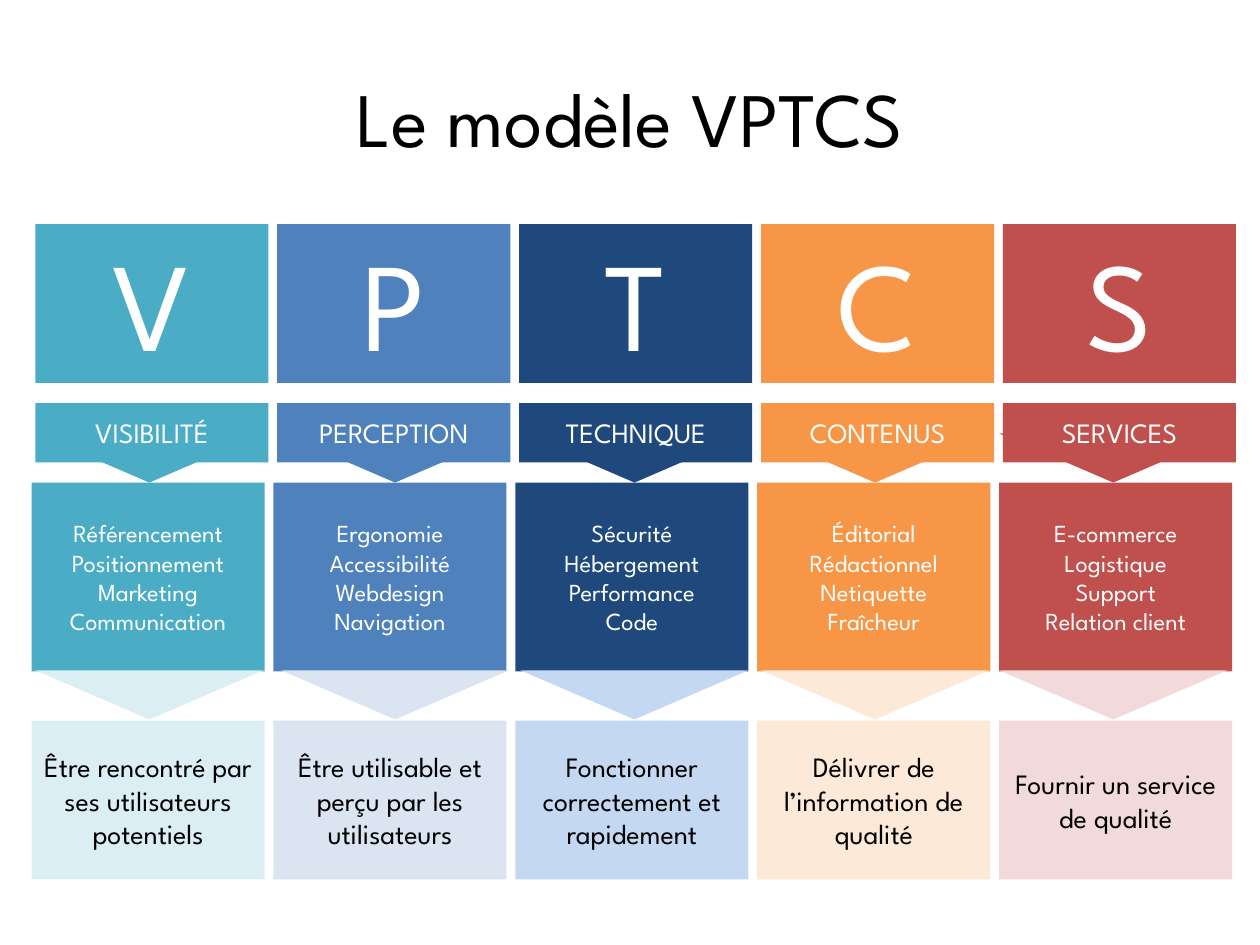
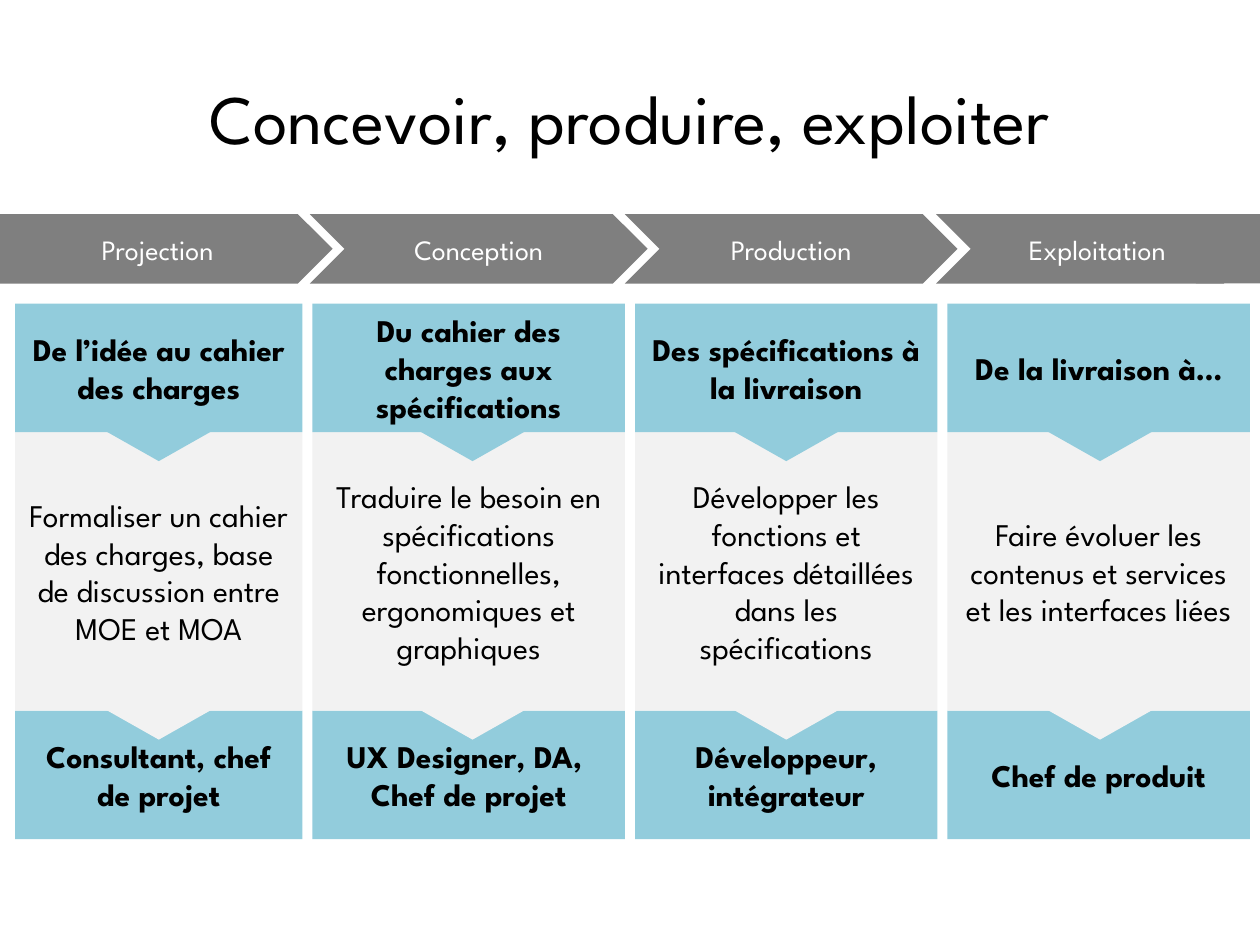
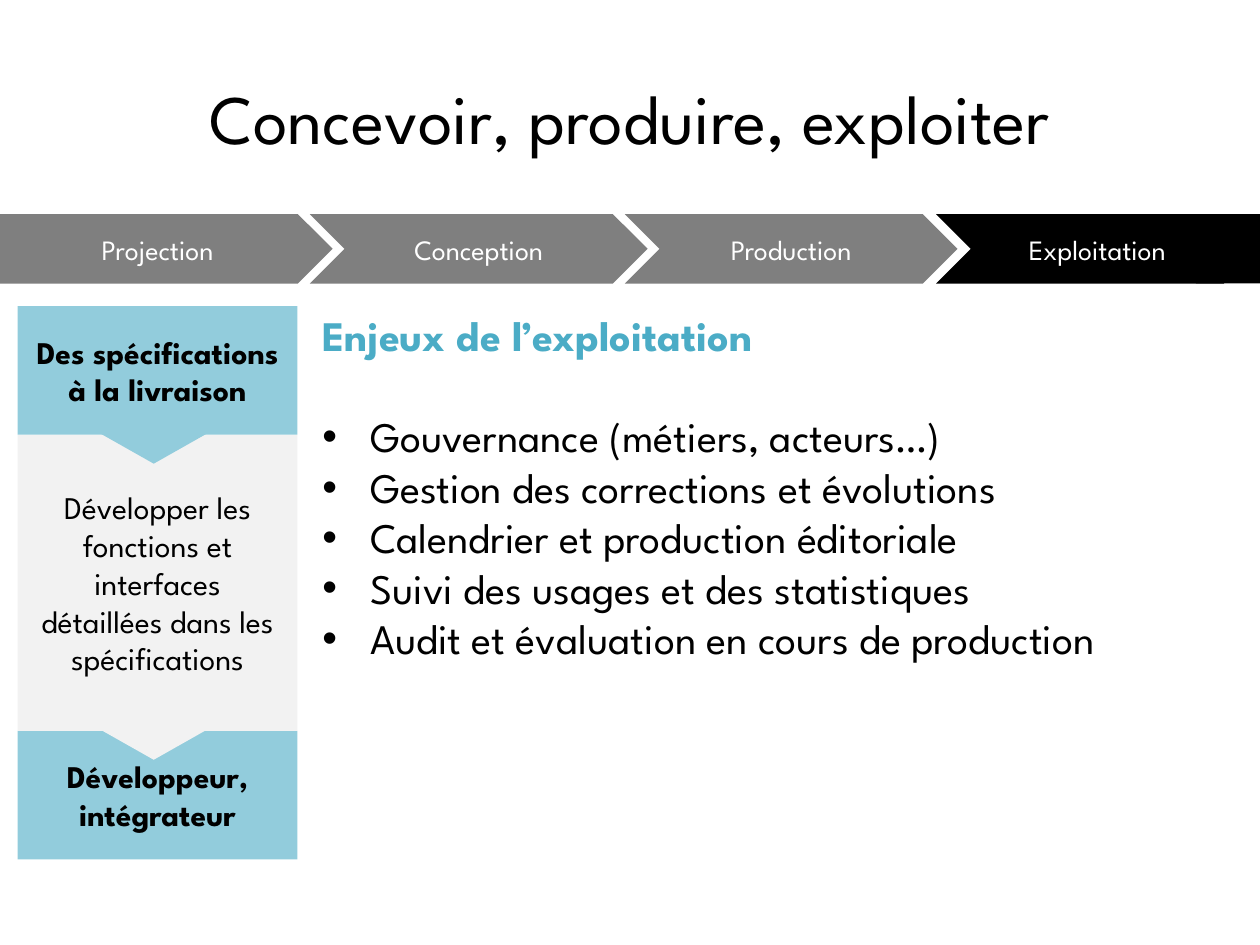
from dataclasses import dataclass

from lxml.etree import SubElement
from pptx import Presentation
from pptx.dml.color import RGBColor
from pptx.enum.shapes import MSO_SHAPE
from pptx.enum.text import MSO_ANCHOR, MSO_AUTO_SIZE, PP_ALIGN
from pptx.oxml.ns import qn
from pptx.util import Inches, Pt


@dataclass(frozen=True)
class Theme:
    font: str = "League Spartan"
    black: str = "000000"
    white: str = "FFFFFF"
    grey: str = "7F7F7F"
    pale_grey: str = "F2F2F2"
    sky: str = "92CCDC"
    teal: str = "4BACC6"
    letter: float = 72
    model_title: float = 44
    project_title: float = 39.6
    list: float = 24
    body: float = 18
    label: float = 16
    topic: float = 14


THEME = Theme()

MODEL_TITLE = "Le modèle VPTCS"
# letter, name, topics, outcome, strong colour, pale colour, left edge of pointers
PILLARS = [
    ("V", "VISIBILITÉ", ["Référencement", "Positionnement", "Marketing", "Communication"],
     "Être rencontré par ses utilisateurs potentiels", THEME.teal, "DAEEF3", 0.28),
    ("P", "PERCEPTION", ["Ergonomie", "Accessibilité", "Webdesign", "Navigation"],
     "Être utilisable et perçu par les utilisateurs", "4F81BD", "DAE5F1", 2.23),
    ("T", "TECHNIQUE", ["Sécurité", "Hébergement", "Performance", "Code"],
     "Fonctionner correctement et rapidement", "1F497D", "C5D8F1", 4.13),
    ("C", "CONTENUS", ["Éditorial", "Rédactionnel", "Netiquette", "Fraîcheur"],
     "Délivrer de l’information de qualité", "F79646", "FDE9D8", 6.04),
    ("S", "SERVICES", ["E-commerce", "Logistique", "Support", "Relation client"],
     "Fournir un service de qualité", "C0504D", "F2DADA", 7.93),
]

PROJECT_TITLE = "Concevoir, produire, exploiter"
# step, left edge, width
STEPS = [("Projection", 0, 2.64), ("Conception", 2.46, 2.68),
         ("Production", 4.96, 2.64), ("Exploitation", 7.43, 2.56)]
# scope, work, people, column width
PHASES = [
    ("De l’idée au cahier des charges",
     "Formaliser un cahier des charges, base de discussion entre MOE et MOA",
     "Consultant, chef de projet", 2.28),
    ("Du cahier des charges aux spécifications",
     "Traduire le besoin en spécifications fonctionnelles, ergonomiques et graphiques",
     "UX Designer, DA, \vChef de projet", 2.48),
    ("Des spécifications à la livraison",
     "Développer les fonctions et interfaces détaillées dans les spécifications",
     "Développeur, intégrateur", 2.4),
    ("De la livraison à…",
     "Faire évoluer les contenus et services et les interfaces liées",
     "Chef de produit", 2.4),
]
ISSUES_HEADING = "Enjeux de l’exploitation"
ISSUES = [
    "Gouvernance (métiers, acteurs…)",
    "Gestion des corrections et évolutions",
    "Calendrier et production éditoriale",
    "Suivi des usages et des statistiques",
    "Audit et évaluation en cours de production",
]

PILLAR_PITCH, PILLAR_WIDTH = 1.92, 1.85
POINTER_HEIGHT = 0.39
STEP_TOP, STEP_HEIGHT = 1.7, 0.55
PHASE_GAP, PHASE_POINTER_PITCH, PHASE_POINTER_WIDTH = 0.08, 2.49, 1.38
PHASE_BAND, POINTER_OVERLAP = 1.02, 0.16


def format_paragraph(para, size, colour, bold=False, align=PP_ALIGN.CENTER):
    para.alignment = align
    for span in para.runs:
        span.font.name = THEME.font
        span.font.size = Pt(size)
        span.font.bold = bold
        span.font.color.rgb = RGBColor.from_string(colour)


def add_box(page, area, fill, text="", size=THEME.body, colour=THEME.black, bold=False,
            kind=MSO_SHAPE.RECTANGLE, anchor=MSO_ANCHOR.MIDDLE):
    box = page.shapes.add_shape(kind, *map(Inches, area))
    box.shadow.inherit = False
    box.fill.solid()
    box.fill.fore_color.rgb = RGBColor.from_string(fill)
    box.line.fill.background()
    if text:
        frame = box.text_frame
        frame.word_wrap = True
        frame.vertical_anchor = anchor
        frame.text = text
        for para in frame.paragraphs:
            format_paragraph(para, size, colour, bold)
    return box


def add_pointer(page, left, top, width, fill):
    """Add a triangle that points down."""
    pointer = add_box(page, (left, top, width, POINTER_HEIGHT), fill,
                      kind=MSO_SHAPE.ISOSCELES_TRIANGLE)
    pointer.rotation = 180


def add_page(deck, title, size):
    page = deck.slides.add_slide(deck.slide_layouts[5])
    box = page.shapes.title
    box.left, box.top, box.width, box.height = map(Inches, (0.5, 0.3, 9, 1.25))
    frame = box.text_frame
    frame.text = title
    frame.auto_size = MSO_AUTO_SIZE.NONE
    frame.vertical_anchor = MSO_ANCHOR.MIDDLE
    format_paragraph(frame.paragraphs[0], size, THEME.black)
    return page


def add_steps(page, active=None):
    """Add the band of project steps, with the active one in black."""
    for index, (name, left, width) in enumerate(STEPS):
        kind = MSO_SHAPE.CHEVRON if index else MSO_SHAPE.PENTAGON
        fill = THEME.black if name == active else THEME.grey
        add_box(page, (left, STEP_TOP, width, STEP_HEIGHT), fill, name,
                THEME.label, THEME.white, kind=kind)
    add_box(page, (9.49, STEP_TOP, 0.51, STEP_HEIGHT), fill)


def add_phase(page, phase, left, top, width, work_height, pointer_left):
    """Stack scope, work and people, each pointing to the next."""
    scope, work, people, _ = phase
    work_top = top + PHASE_BAND
    people_top = work_top + work_height
    add_box(page, (left, people_top, width, PHASE_BAND), THEME.sky, people, bold=True)
    add_pointer(page, pointer_left, people_top - POINTER_OVERLAP,
                PHASE_POINTER_WIDTH, THEME.pale_grey)
    add_box(page, (left, work_top, width, work_height), THEME.pale_grey, work)
    add_pointer(page, pointer_left, work_top - POINTER_OVERLAP,
                PHASE_POINTER_WIDTH, THEME.sky)
    add_box(page, (left, top, width, PHASE_BAND), THEME.sky, scope, bold=True)


def add_bullet(para):
    properties = para._p.get_or_add_pPr()
    indent = Inches(0.38)
    properties.set("marL", str(indent))
    properties.set("indent", str(-indent))
    colour = SubElement(properties, qn("a:buClr"))
    SubElement(colour, qn("a:srgbClr"), val=THEME.black)
    SubElement(properties, qn("a:buFont"), typeface="Arial")
    SubElement(properties, qn("a:buChar"), char="•")


def add_issues(page):
    box = page.shapes.add_textbox(*map(Inches, (2.46, 2.41, 7.42, 3.94)))
    frame = box.text_frame
    frame.word_wrap = True
    frame.text = "\n".join([ISSUES_HEADING, *ISSUES])
    heading, *items = frame.paragraphs
    format_paragraph(heading, THEME.list, THEME.teal, True, PP_ALIGN.LEFT)
    for para in items:
        add_bullet(para)
        format_paragraph(para, THEME.list, THEME.black, align=PP_ALIGN.LEFT)
    items[0].space_before = Pt(29)


def build_model(deck):
    page = add_page(deck, MODEL_TITLE, THEME.model_title)
    for index, (letter, name, topics, outcome, strong, pale, tip) in enumerate(PILLARS):
        upper = 0.28 + index * PILLAR_PITCH
        lower = 0.25 + index * PILLAR_PITCH
        add_pointer(page, tip, 3.44, 1.81, strong)
        add_box(page, (upper, 1.78, PILLAR_WIDTH, 1.26), strong, letter,
                THEME.letter, THEME.white, anchor=MSO_ANCHOR.BOTTOM)
        add_box(page, (upper, 3.2, PILLAR_WIDTH, 0.47), strong, name,
                THEME.label, THEME.white)
        add_box(page, (lower, 3.83, PILLAR_WIDTH, 1.5), strong, "\n".join(topics),
                THEME.topic, THEME.white)
        add_pointer(page, tip, 5.32, 1.81, pale)
        add_box(page, (lower, 5.72, PILLAR_WIDTH, 1.26), pale, outcome, THEME.label)


def build_phases(deck):
    page = add_page(deck, PROJECT_TITLE, THEME.project_title)
    add_steps(page)
    left = 0.12
    for index, phase in enumerate(PHASES):
        width = phase[-1]
        add_phase(page, phase, left, 2.41, width, 2.21, 0.57 + index * PHASE_POINTER_PITCH)
        left += width + PHASE_GAP


def build_operation(deck):
    page = add_page(deck, PROJECT_TITLE, THEME.project_title)
    add_steps(page, active="Exploitation")
    add_phase(page, PHASES[2], 0.14, 2.43, 2.22, 2.35, 0.53)
    add_issues(page)


def main():
    deck = Presentation()
    deck.slide_width, deck.slide_height = Inches(10), Inches(7.5)
    build_model(deck)
    build_phases(deck)
    build_operation(deck)
    deck.save("out.pptx")


if __name__ == "__main__":
    main()
